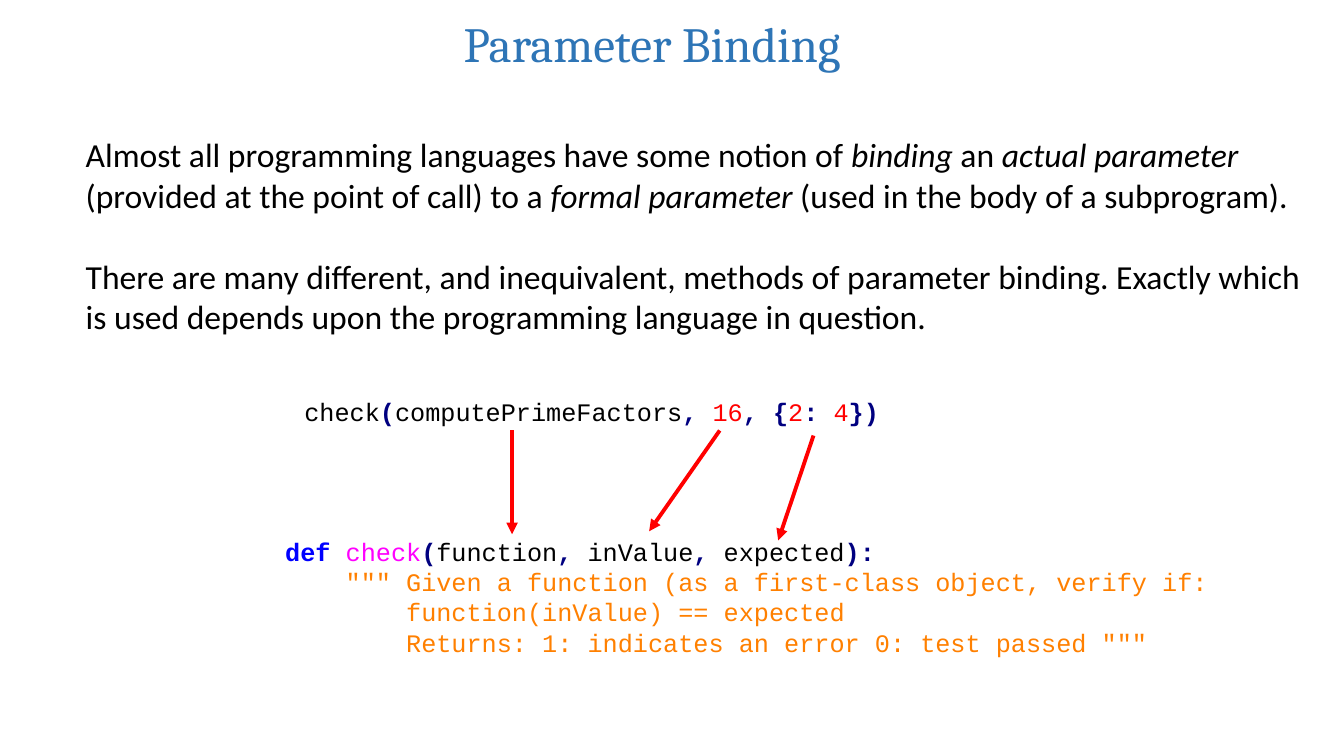
from lxml.etree import SubElement
from pptx import Presentation
from pptx.dml.color import RGBColor
from pptx.enum.shapes import MSO_CONNECTOR
from pptx.enum.text import MSO_ANCHOR, MSO_AUTO_SIZE, PP_ALIGN
from pptx.oxml.ns import qn
from pptx.util import Pt

BLACK, RED, NAVY = "000000", "FF0000", "000080"
BLUE, MAGENTA, ORANGE = "0000FF", "FF00FF", "FF8000"
TITLE_BLUE = "2E75B6"
BOLD_COLORS = (NAVY, BLUE)

BODY = [
    [("Almost all programming languages have some notion of ", False),
     ("binding ", True), ("an ", False), ("actual parameter ", True),
     ("(provided at the point of call) to a ", False),
     ("formal parameter ", True),
     ("(used in the body of a subprogram).", False)],
    [("There are many different, and inequivalent, methods of parameter "
      "binding. Exactly which is used depends upon the programming language "
      "in question.", False)],
]
CALL = [
    [("check", BLACK), ("(", NAVY), ("computePrimeFactors", BLACK),
     (", ", NAVY), ("16", RED), (", {", NAVY), ("2", RED), (": ", NAVY),
     ("4", RED), ("})", NAVY)],
]
DEFINITION = [
    [("def ", BLUE), ("check", MAGENTA), ("(", NAVY), ("function", BLACK),
     (", ", NAVY), ("inValue", BLACK), (",", NAVY), (" expected", BLACK),
     ("):", NAVY)],
    [('    """ Given a function (as a first-class object, verify if:', ORANGE)],
    [("        function(inValue) == expected", ORANGE)],
    [('        Returns: 1: indicates an error 0: test passed """', ORANGE)],
]
# Start and end of each arrow, relative to the binding diagram
ARROWS = [
    ((169.2, 28.1), (169.2, 102.2)),
    ((317.5, 28.1), (267.1, 100.1)),
    ((384.5, 31.7), (359.3, 106.6)),
]


def color(hex_string):
    return RGBColor.from_string(hex_string)


def place(shape, box):
    shape.left, shape.top, shape.width, shape.height = map(Pt, box)


def add_run(paragraph, text, font_name, size, hex_string):
    run = paragraph.add_run()
    run.text = text
    run.font.name = font_name
    run.font.size = Pt(size)
    run.font.color.rgb = color(hex_string)
    return run


def paragraphs_for(text_frame, lines):
    """Yield each line with its paragraph, adding paragraphs as needed."""
    for index, line in enumerate(lines):
        yield (text_frame.add_paragraph() if index
               else text_frame.paragraphs[0]), line


def fill_title(slide, box):
    title = slide.shapes.title
    place(title, box)
    frame = title.text_frame
    frame.auto_size = MSO_AUTO_SIZE.NONE
    frame.vertical_anchor = MSO_ANCHOR.MIDDLE
    paragraph = frame.paragraphs[0]
    paragraph.alignment = PP_ALIGN.CENTER
    add_run(paragraph, "Parameter Binding", "Cambria", 35.1, TITLE_BLUE)


def fill_body(slide, box):
    body = slide.placeholders[1]
    place(body, box)
    frame = body.text_frame
    frame.auto_size = MSO_AUTO_SIZE.NONE
    frame.vertical_anchor = MSO_ANCHOR.TOP
    for paragraph, pieces in paragraphs_for(frame, BODY):
        properties = paragraph._p.get_or_add_pPr()
        properties.set("marL", "0")
        properties.set("indent", "0")
        SubElement(properties, qn("a:buNone"))
        paragraph.space_before = Pt(0 if pieces is BODY[0] else 29.3)
        for text, italic in pieces:
            run = add_run(paragraph, text, "Calibri", 24, BLACK)
            run.font.italic = italic


def add_code(slide, box, lines, wrap):
    text_box = slide.shapes.add_textbox(*map(Pt, box))
    frame = text_box.text_frame
    frame.word_wrap = wrap
    for paragraph, pieces in paragraphs_for(frame, lines):
        for text, hex_string in pieces:
            run = add_run(paragraph, text, "Courier New", 18, hex_string)
            run.font.bold = hex_string in BOLD_COLORS


def add_arrow(slide, start, end):
    arrow = slide.shapes.add_connector(
        MSO_CONNECTOR.STRAIGHT, *map(Pt, (*start, *end)))
    arrow.line.color.rgb = color(RED)
    arrow.line.width = Pt(2.75)
    SubElement(arrow.line._get_or_add_ln(), qn("a:tailEnd"), type="triangle")
    SubElement(arrow._element.spPr, qn("a:effectLst"))


def add_binding_diagram(slide, box):
    """Show the call above the definition, with arrows joining parameters."""
    left, top, width, height = box
    definition_height = 94.3
    add_code(slide, (left, top + height - definition_height, width,
                     definition_height), DEFINITION, True)
    add_code(slide, (left + 13.7, top, 427, 28.8), CALL, False)
    for points in ARROWS:
        start, end = ((left + x, top + y) for x, y in points)
        add_arrow(slide, start, end)


def main():
    presentation = Presentation()
    presentation.slide_width, presentation.slide_height = Pt(960), Pt(540)
    slide = presentation.slides.add_slide(presentation.slide_layouts[1])
    fill_title(slide, (37.4, 7.2, 856.8, 47.5))
    fill_body(slide, (54, 92.2, 886.3, 152.6))
    add_binding_diagram(slide, (196.6, 279.4, 694.8, 194.4))
    presentation.save("out.pptx")


if __name__ == "__main__":
    main()
